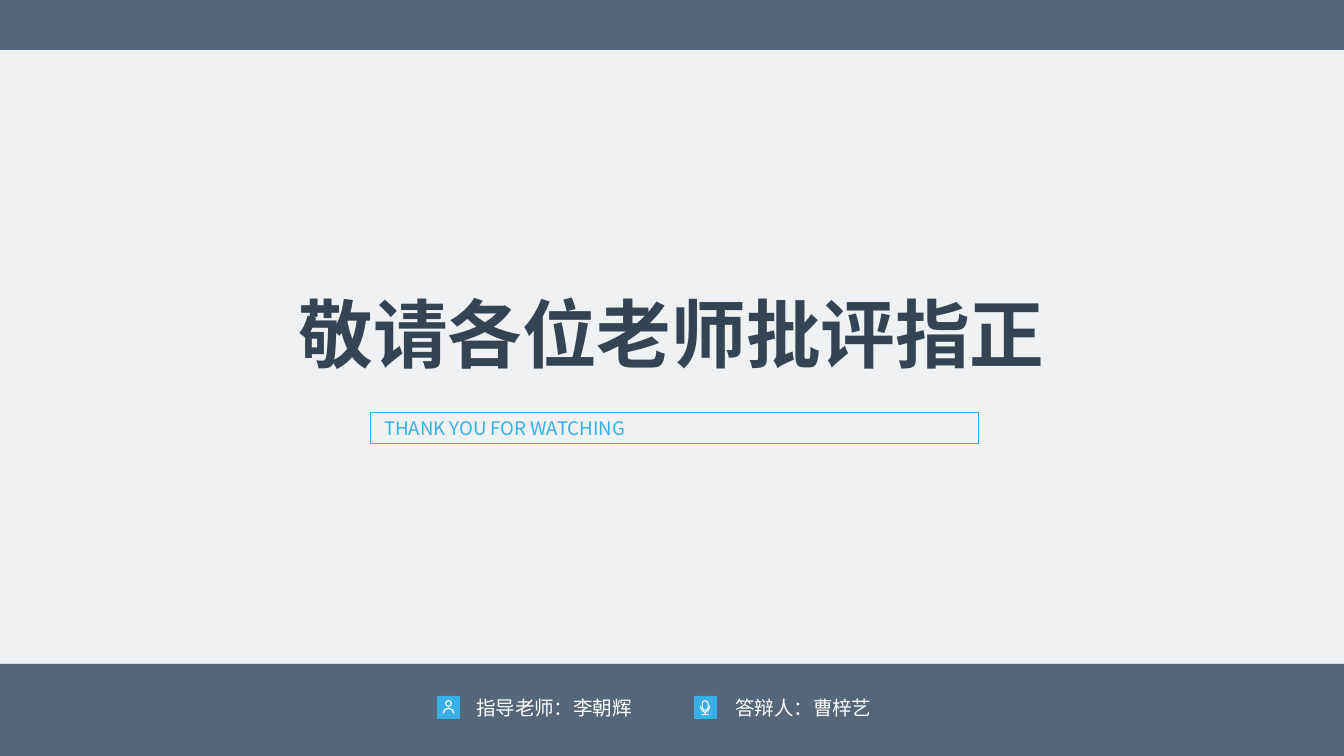
import math

import pptx
import pptx.dml.color
import pptx.enum.shapes
import pptx.enum.text
import pptx.oxml
import pptx.oxml.ns
import pptx.util

PX = 914400 / 134.4
WIDTH, HEIGHT = 1344, 756
FONT = "Noto Sans CJK SC"
SLATE, NAVY, BLUE, WHITE, PALE = "54667A", "354454", "37B0E8", "FFFFFF", "F0F1F3"
TILE = 23
SHAPE = pptx.enum.shapes.MSO_SHAPE
ALIGN = pptx.enum.text.PP_ALIGN
ANCHOR = pptx.enum.text.MSO_ANCHOR


def px(length):
    return pptx.util.Emu(round(length * PX))


def box(*lengths):
    return [px(length) for length in lengths]


def color(hex_code):
    return pptx.dml.color.RGBColor.from_string(hex_code)


def paint(shape, hex_code):
    """Fill a shape flat, without outline or shadow."""
    shape.shadow.inherit = False
    shape.fill.solid()
    shape.fill.fore_color.rgb = color(hex_code)
    shape.line.fill.background()


def add_block(shapes, bounds, hex_code):
    paint(shapes.add_shape(SHAPE.RECTANGLE, *box(*bounds)), hex_code)


def write(shape, text, size, hex_code, align, bold=False, wrap=True, anchor=ANCHOR.TOP):
    frame = shape.text_frame
    frame.text = text
    frame.word_wrap = wrap
    frame.auto_size = pptx.enum.text.MSO_AUTO_SIZE.NONE
    frame.vertical_anchor = anchor
    paragraph = frame.paragraphs[0]
    paragraph.alignment = align
    font = paragraph.font
    font.size = pptx.util.Pt(size)
    font.bold = bold
    font.color.rgb = color(hex_code)
    font.name = FONT
    # Chinese characters take their typeface from a:ea
    defaults = paragraph._p.pPr.find(pptx.oxml.ns.qn("a:defRPr"))
    namespace = pptx.oxml.ns.nsdecls("a")
    defaults.append(pptx.oxml.parse_xml(f'<a:ea {namespace} typeface="{FONT}"/>'))


def arc(cx, cy, radius, start, end):
    """Points on a circle, some 45 degrees apart, clockwise from the right."""
    steps = math.ceil(abs(end - start) / 45)
    angles = [math.radians(start + (end - start) * i / steps) for i in range(steps + 1)]
    return [(cx + radius * math.cos(a), cy + radius * math.sin(a)) for a in angles]


def capsule(cx, top, bottom, radius):
    return arc(cx, top + radius, radius, 180, 360) + arc(cx, bottom - radius, radius, 0, 180)


def add_outline(shapes, left, top, *contours):
    """Draw closed contours given in tenths of a px from the tile corner."""
    builder = shapes.build_freeform(*contours[0][0], scale=PX / 10)
    for number, contour in enumerate(contours):
        if number:
            builder.move_to(*contour[0])
        builder.add_line_segments(contour[1:], close=True)
    paint(builder.convert_to_shape(px(left), px(top)), WHITE)


def person_outlines():
    head = [arc(115, 75, 34, 0, 360), arc(115, 75, 22, 360, 0)]
    shoulders = [arc(115, 175, 60, 180, 360) + arc(115, 175, 47, 360, 180)]
    return head, shoulders


def microphone_outlines():
    cx = 112
    capsule_ring = [capsule(cx, 42, 150, 34), capsule(cx, 53, 139, 23)[::-1]]
    foot = [(cx + x, y) for x, y in ((6, 181), (34, 181), (34, 192), (-34, 192), (-34, 181), (-6, 181))]
    stand = [
        [(cx + 47, 96)] + arc(cx, 120, 47, 0, 83) + foot + arc(cx, 120, 47, 97, 180)
        + [(cx - 47, 96), (cx - 37, 96)] + arc(cx, 120, 37, 180, 0) + [(cx + 37, 96)]
    ]
    return capsule_ring, stand


def add_icon(slide, left, top, outlines):
    shapes = slide.shapes.add_group_shape().shapes
    add_block(shapes, (left, top, TILE, TILE), BLUE)
    for contours in outlines:
        add_outline(shapes, left, top, *contours)


def add_label(slide, bounds, text):
    label = slide.shapes.add_textbox(*box(*bounds))
    write(label, text, 10.5, WHITE, ALIGN.LEFT, wrap=False)


def add_title(slide, bounds, text):
    title = slide.shapes.title
    title.left, title.top, title.width, title.height = box(*bounds)
    write(title, text, 40, NAVY, ALIGN.CENTER, bold=True)


def add_framed_line(slide, bounds, text):
    frame = slide.shapes.add_shape(SHAPE.ROUNDED_RECTANGLE, *box(*bounds))
    # The theme style would tint the thin outline
    frame._element.remove(frame._element.find(pptx.oxml.ns.qn("p:style")))
    frame.adjustments[0] = 0
    frame.fill.background()
    frame.line.fill.solid()
    frame.line.fill.fore_color.rgb = color(BLUE)
    frame.line.width = pptx.util.Pt(0.5)
    write(frame, text, 10, BLUE, ALIGN.JUSTIFY, anchor=ANCHOR.MIDDLE)


def main():
    deck = pptx.Presentation()
    deck.slide_width, deck.slide_height = box(WIDTH, HEIGHT)
    slide = deck.slides.add_slide(deck.slide_layouts[5])
    slide.background.fill.solid()
    slide.background.fill.fore_color.rgb = color(PALE)

    add_block(slide.shapes, (0, 0, WIDTH, 50), SLATE)
    add_block(slide.shapes, (0, 664, WIDTH, 92), SLATE)
    add_title(slide, (162, 281, 1019, 103), "敬请各位老师批评指正")
    add_framed_line(slide, (371, 413, 608, 30), "THANK YOU FOR WATCHING")
    add_icon(slide, 437, 696, person_outlines())
    add_icon(slide, 694, 696, microphone_outlines())
    add_label(slide, (463, 689, 185, 38), "指导老师：李朝辉")
    add_label(slide, (722, 689, 165, 38), "答辩人：曹梓艺")
    deck.save("out.pptx")


if __name__ == "__main__":
    main()
